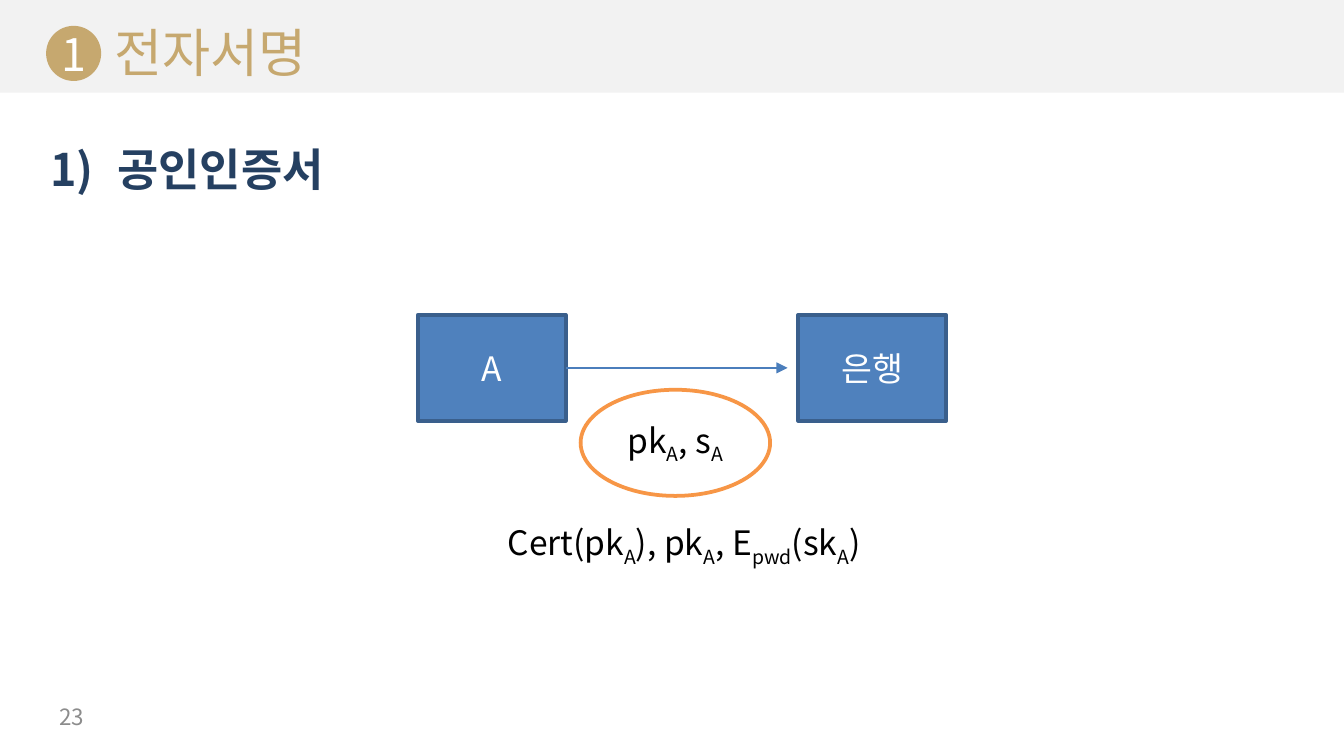
import pptx
import pptx.util
import pptx.dml.color
import pptx.enum.shapes
import pptx.enum.text
import pptx.oxml.ns
from lxml import etree

FONT = "Noto Sans CJK KR"
SHAPE = pptx.enum.shapes.MSO_SHAPE
ALIGN = pptx.enum.text.PP_ALIGN
ANCHOR = pptx.enum.text.MSO_ANCHOR
qn = pptx.oxml.ns.qn

deck = pptx.Presentation()
deck.slide_width = pptx.util.Inches(10)
deck.slide_height = deck.slide_width * 9 // 16
X = deck.slide_width / 100   # one percent of the slide's width
Y = deck.slide_height / 100  # one percent of the slide's height


def color(hex_code):
    return pptx.dml.color.RGBColor.from_string(hex_code)


def write(box, parts, size, hex_code, align=ALIGN.LEFT, anchor=ANCHOR.MIDDLE, bold=False):
    """Fill the box with runs; every second part is a subscript."""
    box.text_frame.vertical_anchor = anchor
    para = box.text_frame.paragraphs[0]
    para.alignment = align
    for index, part in enumerate(parts):
        span = para.add_run()
        span.text = part
        span.font.size = pptx.util.Pt(size)
        span.font.bold = bold
        span.font.color.rgb = color(hex_code)
        span.font.name = FONT
        properties = span._r.get_or_add_rPr()
        etree.SubElement(properties, qn("a:ea"), typeface=FONT)
        if index % 2:
            properties.set("baseline", "-25000")


page = deck.slides.add_slide(deck.slide_layouts[5])
page.background.fill.solid()
page.background.fill.fore_color.rgb = color("F2F2F2")

# Title
title = page.shapes.title
title.left, title.top = int(7.55 * X), int(1.6 * Y)
title.width, title.height = int(89.7 * X), int(10.31 * Y)
title.text_frame.auto_size = pptx.enum.text.MSO_AUTO_SIZE.NONE
write(title, ["전자서명"], 28, "C6A86F", anchor=ANCHOR.BOTTOM)

# Panel, number badge, two parties and the message between them
party_top, party_width, party_height = 41.65, 11, 14.04
party_lefts = (31.1, 59.4)
shapes = [
    (SHAPE.RECTANGLE, 0, 12.27, 100, 87.73, "FFFFFF", None, [], 18, "000000"),
    (SHAPE.OVAL, 3.43, 3.42, 4.1, 7.29, "C6A86F", None, ["1"], 24, "FFFFFF"),
]
for left, name in zip(party_lefts, ("A", "은행")):
    shapes.append((SHAPE.RECTANGLE, left, party_top, party_width, party_height,
                   "4F81BD", "3A5F8C", [name], 18, "FFFFFF"))
shapes.append((SHAPE.OVAL, 43.2, 51.56, 14.1, party_height,
               "FFFFFF", "F79646", ["pk", "A", ", s", "A"], 18, "000000"))

for kind, left, top, width, height, fill, line, parts, size, ink in shapes:
    shape = page.shapes.add_shape(kind, int(left * X), int(top * Y), int(width * X), int(height * Y))
    shape.shadow.inherit = False
    shape.fill.solid()
    shape.fill.fore_color.rgb = color(fill)
    if line:
        shape.line.color.rgb = color(line)
        shape.line.width = pptx.util.Pt(2)
    else:
        shape.line.fill.background()
    if parts:
        frame = shape.text_frame
        frame.margin_left = frame.margin_right = frame.margin_top = frame.margin_bottom = 0
        write(shape, parts, size, ink, ALIGN.CENTER)

# Arrow from A to the bank
middle = int((party_top + party_height / 2) * Y)
arrow = page.shapes.add_connector(
    pptx.enum.shapes.MSO_CONNECTOR.STRAIGHT,
    int((party_lefts[0] + party_width) * X), middle, int(58.6 * X), middle)
arrow.line.color.rgb = color("4B7EBC")
arrow.line.width = pptx.util.Pt(0.75)
etree.SubElement(arrow.line._get_or_add_ln(), qn("a:tailEnd"), type="triangle")
etree.SubElement(arrow._element.spPr, qn("a:effectLst"))

# Heading, certificate formula and page number
formula = ["Cert(pk", "A", "), pk", "A", ", E", "pwd", "(sk", "A", ")"]
texts = [
    (2.75, 17.85, 89.7, 74.13, ["공인인증서"], 24, "254061", ALIGN.LEFT, ANCHOR.TOP),
    (36.55, 68.2, 28.7, 7.11, formula, 18, "000000", ALIGN.CENTER, ANCHOR.TOP),
    (3.45, 92.09, 22.5, 5.33, ["23"], 12, "8C8C8C", ALIGN.LEFT, ANCHOR.MIDDLE),
]
for left, top, width, height, parts, size, ink, align, anchor in texts:
    box = page.shapes.add_textbox(int(left * X), int(top * Y), int(width * X), int(height * Y))
    box.text_frame.word_wrap = parts is not formula
    heading = size == 24
    if heading:
        layout = box.text_frame.paragraphs[0]._p.get_or_add_pPr()
        layout.set("marL", str(int(5 * X)))
        layout.set("indent", str(int(-5 * X)))
        etree.SubElement(layout, qn("a:buFont"), typeface=FONT)
        etree.SubElement(layout, qn("a:buAutoNum"), type="arabicParenR")
    write(box, parts, size, ink, align, anchor, bold=heading)

deck.save("out.pptx")
